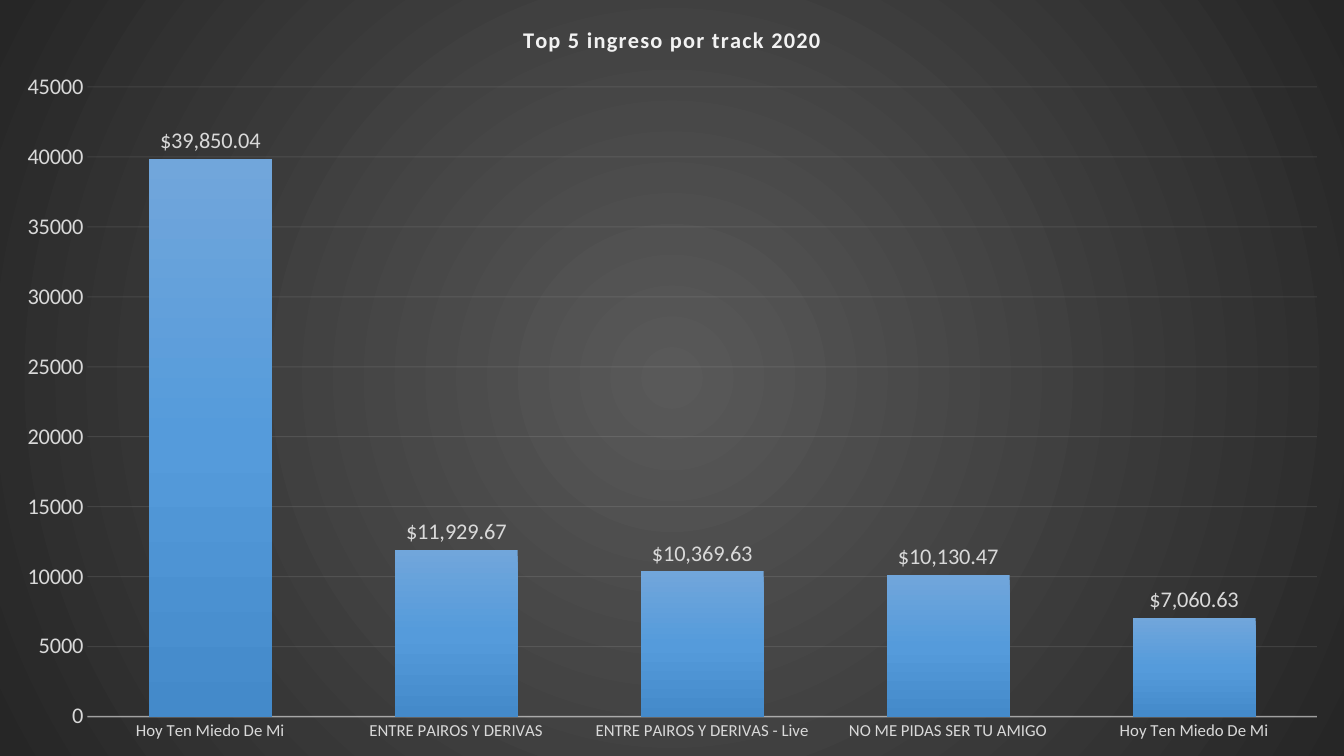
from dataclasses import dataclass

from pptx import Presentation
from pptx.chart.data import CategoryChartData
from pptx.dml.color import RGBColor
from pptx.enum.chart import XL_CHART_TYPE, XL_LABEL_POSITION, XL_TICK_MARK
from pptx.oxml import parse_xml
from pptx.oxml.ns import nsdecls, qn
from pptx.util import Emu, Pt

COLUMNS = XL_CHART_TYPE.COLUMN_CLUSTERED
OUTSIDE_END = XL_LABEL_POSITION.OUTSIDE_END
NO_TICK = XL_TICK_MARK.NONE

EMU_PER_PX = 9525
PAGE_WIDTH, PAGE_HEIGHT = 1280, 720
FONT = "Calibri"
LIGHT, PALE = "D9D9D9", "F2F2F2"
BLANK_LAYOUT = 6

RADIAL = ('<a:path path="circle"><a:fillToRect l="50000" t="50000" '
          'r="50000" b="50000"/></a:path>')
DOWNWARD = '<a:lin ang="5400000" scaled="0"/>'


@dataclass(frozen=True)
class Track:
    name: str
    income: float


@dataclass(frozen=True)
class Stop:
    percent: int
    colour: str


TRACKS = [
    Track("Hoy Ten Miedo De Mi", 39850.04),
    Track("ENTRE PAIROS Y DERIVAS", 11929.67),
    Track("ENTRE PAIROS Y DERIVAS - Live", 10369.63),
    Track("NO ME PIDAS SER TU AMIGO", 10130.47),
    Track("Hoy Ten Miedo De Mi", 7060.63),
]
BACKGROUND = [Stop(0, "595959"), Stop(100, "262626")]
COLUMN_FILL = [Stop(0, "71A6DB"), Stop(50, "559BDB"), Stop(100, "448ACA")]
PLOT_AREA = {"x": 0.065, "y": 0.115, "w": 0.915, "h": 0.833}


def px(length: int) -> Emu:
    return Emu(length * EMU_PER_PX)


def rgb(colour: str) -> RGBColor:
    return RGBColor.from_string(colour)


def style_font(font, size: int, colour: str, bold: bool = False) -> None:
    font.name = FONT
    font.size = Pt(size)
    font.bold = bold
    font.color.rgb = rgb(colour)


def style_line(line, colour: str, width: float, opacity: int) -> None:
    line.color.rgb = rgb(colour)
    line.width = Pt(width)
    colour_node = line._get_or_add_ln().find(".//" + qn("a:srgbClr"))
    colour_node.append(parse_xml(f'<a:alpha {nsdecls("a")} val="{opacity * 1000}"/>'))


def gradient_properties(stops: list[Stop], direction: str):
    marks = "".join(f'<a:gs pos="{stop.percent * 1000}"><a:srgbClr val="{stop.colour}"/></a:gs>'
                    for stop in stops)
    return parse_xml(f'<c:spPr {nsdecls("c", "a")}><a:gradFill><a:gsLst>{marks}</a:gsLst>'
                     f'{direction}</a:gradFill><a:ln><a:noFill/></a:ln></c:spPr>')


def place_plot(plot_area) -> None:
    for old in plot_area.findall(qn("c:layout")):
        plot_area.remove(old)
    sizes = "".join(f'<c:{key} val="{share}"/>' for key, share in PLOT_AREA.items())
    plot_area.insert(0, parse_xml(
        f'<c:layout {nsdecls("c")}><c:manualLayout><c:layoutTarget val="inner"/>'
        f'<c:xMode val="edge"/><c:yMode val="edge"/>{sizes}</c:manualLayout></c:layout>'))


def add_income_chart(page):
    data = CategoryChartData()
    data.categories = [track.name for track in TRACKS]
    data.add_series("Series 1", [track.income for track in TRACKS])
    frame = page.shapes.add_chart(COLUMNS, px(0), px(0), px(PAGE_WIDTH), px(PAGE_HEIGHT), data)
    chart = frame.chart
    chart.has_legend = False
    style_font(chart.font, 10, "000000")
    return chart


def style_title(chart) -> None:
    chart.has_title = True
    chart.chart_title.include_in_layout = False
    para = chart.chart_title.text_frame.paragraphs[0]
    span = para.add_run()
    span.text = "Top 5 ingreso por track 2020"
    style_font(span.font, 16, PALE, bold=True)
    span.font._element.set("spc", "100")


def style_axes(chart) -> None:
    tracks, income = chart.category_axis, chart.value_axis
    for axis, size in ((tracks, 12), (income, 16)):
        axis.major_tick_mark = axis.minor_tick_mark = NO_TICK
        style_font(axis.tick_labels.font, size, LIGHT)
    style_line(tracks.format.line, PALE, 1, 54)
    income.minimum_scale, income.maximum_scale, income.major_unit = 0, 45000, 5000
    income.tick_labels.number_format = "General"
    income.tick_labels.number_format_is_linked = False
    income.format.line.fill.background()
    income.has_major_gridlines = True
    style_line(income.major_gridlines.format.line, PALE, 0.75, 10)


def style_columns(chart) -> None:
    plot = chart.plots[0]
    plot.gap_width, plot.overlap = 100, -24
    plot.vary_by_categories = False
    series = plot.series[0]
    series.format.fill.solid()
    series_node = series._element
    series_node.replace(series_node.find(qn("c:spPr")),
                        gradient_properties(COLUMN_FILL, DOWNWARD))
    labels = series.data_labels
    labels.show_value = True
    labels.position = OUTSIDE_END
    labels.number_format = '"$"#,##0.00'
    labels.number_format_is_linked = False
    style_font(labels.font, 16, LIGHT)


def main() -> None:
    deck = Presentation()
    deck.slide_width, deck.slide_height = px(PAGE_WIDTH), px(PAGE_HEIGHT)
    page = deck.slides.add_slide(deck.slide_layouts[BLANK_LAYOUT])

    # Chart with its title, axes and columns
    chart = add_income_chart(page)
    style_title(chart)
    style_axes(chart)
    style_columns(chart)

    # Dark radial background and plot position
    chart_node = chart._chartSpace.find(qn("c:chart"))
    chart_node.addnext(gradient_properties(BACKGROUND, RADIAL))
    place_plot(chart_node.find(qn("c:plotArea")))

    deck.save("out.pptx")


if __name__ == "__main__":
    main()
